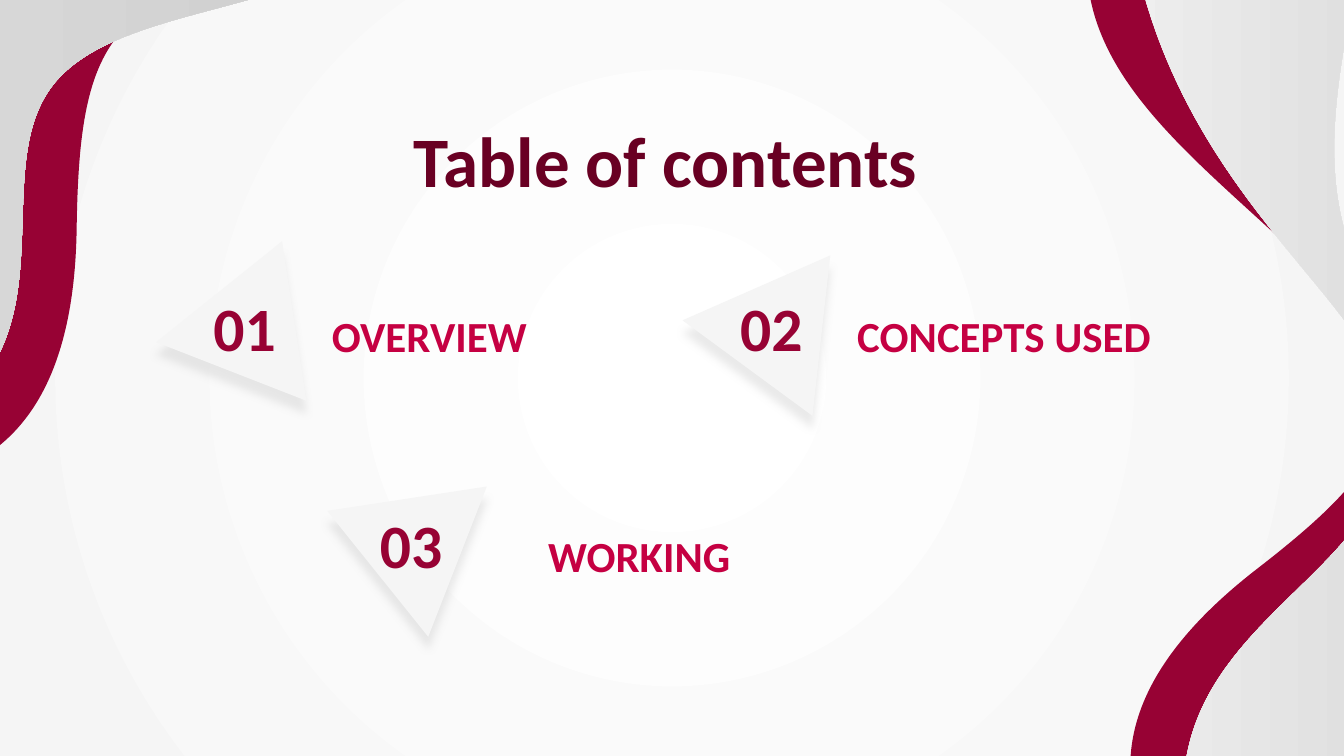
from dataclasses import dataclass
from math import cos, radians, sin

from lxml.etree import SubElement
from pptx import Presentation
from pptx.dml.color import RGBColor
from pptx.enum.shapes import MSO_SHAPE
from pptx.enum.text import MSO_ANCHOR, PP_ALIGN
from pptx.oxml.ns import qn
from pptx.util import Inches, Pt


@dataclass(frozen=True)
class Theme:
    font: str = "Calibri"
    title: str = "690023"
    number: str = "970234"
    topic: str = "C50042"
    ribbon: str = "970234"
    white: str = "FFFFFF"
    pale: str = "F5F5F5"
    grey: str = "C4C4C4"
    title_size: int = 38
    number_size: int = 33
    topic_size: int = 23


def write_text(frame, text, *, size, color, font, align=PP_ALIGN.LEFT,
               anchor=MSO_ANCHOR.TOP, top_inset=0.1, right_inset=0.1):
    frame.word_wrap = True
    frame.vertical_anchor = anchor
    frame.margin_left = frame.margin_bottom = Inches(0.1)
    frame.margin_top, frame.margin_right = Inches(top_inset), Inches(right_inset)
    paragraph = frame.paragraphs[0]
    paragraph.alignment = align
    run = paragraph.add_run()
    run.text = text
    run.font.name = font
    run.font.size = Pt(size)
    run.font.bold = True
    run.font.color.rgb = RGBColor.from_string(color)


class SlideBuilder:
    COLUMNS, ROWS = 100, 56.25

    def __init__(self, presentation, theme):
        self.theme = theme
        self.cell_width = presentation.slide_width / self.COLUMNS
        self.cell_height = presentation.slide_height / self.ROWS
        self.slide = presentation.slides.add_slide(presentation.slide_layouts[6])

    def place(self, column, row):
        return round(column * self.cell_width), round(row * self.cell_height)

    def box(self, column, row, width, height):
        return *self.place(column, row), *self.place(width, height)

    def gradient(self, fill, first, last):
        fill.gradient()
        fill.gradient_angle = 0
        for stop, color in zip(fill.gradient_stops, (first, last)):
            stop.color.rgb = RGBColor.from_string(color)

    def background(self):
        self.gradient(self.slide.background.fill, self.theme.white, self.theme.pale)
        gradient = self.slide.element.find(".//" + qn("a:gradFill"))
        gradient.remove(gradient.find(qn("a:lin")))
        circle = SubElement(gradient, qn("a:path"), path="circle")
        SubElement(circle, qn("a:fillToRect"), l="50000", t="50000", r="50000", b="50000")

    def wave(self, box, rotation, start, *segments, shaded=False):
        column, row, width, height = box
        cosine, sine = cos(radians(rotation)), sin(radians(rotation))

        def turn_back(x, y):
            x, y = x - column - width / 2, y - row - height / 2
            return self.place(cosine * x + sine * y + width / 2,
                              cosine * y - sine * x + height / 2)

        builder = self.slide.shapes.build_freeform(0, 0)
        builder.add_line_segments([self.place(width, height)], close=True)
        shape = builder.convert_to_shape()
        shape.left, shape.top, shape.width, shape.height = self.box(*box)
        shape.rotation = rotation
        outline = shape.element.find(".//" + qn("a:path"))
        for child in list(outline):
            outline.remove(child)
        for segment in (start, *segments):
            is_curve = len(segment) == 6
            tag = "a:moveTo" if segment is start else "a:cubicBezTo" if is_curve else "a:lnTo"
            command = SubElement(outline, qn(tag))
            for point in zip(segment[::2], segment[1::2]):
                x, y = turn_back(*point)
                SubElement(command, qn("a:pt"), x=str(x), y=str(y))
        SubElement(outline, qn("a:close"))
        shape.shadow.inherit = False
        shape.line.fill.background()
        if shaded:
            self.gradient(shape.fill, self.theme.pale, self.theme.grey)
            shape.element.spPr.find(qn("a:gradFill")).set("rotWithShape", "0")
        else:
            shape.fill.solid()
            shape.fill.fore_color.rgb = RGBColor.from_string(self.theme.ribbon)

    def triangle(self, column, row, rotation):
        shape = self.slide.shapes.add_shape(
            MSO_SHAPE.ISOSCELES_TRIANGLE, *self.box(column, row, 12, 10.4))
        shape.rotation = rotation
        shape.fill.solid()
        shape.fill.fore_color.rgb = RGBColor.from_string(self.theme.pale)
        shape.line.fill.background()
        shape.shadow.inherit = False
        effects = shape.element.spPr.find(qn("a:effectLst"))
        shadow = SubElement(effects, qn("a:outerShdw"), blurRad=str(Pt(4.5)),
                            dist=str(Pt(6.8)), dir="5400000", algn="bl", rotWithShape="0")
        color = SubElement(shadow, qn("a:srgbClr"), val=self.theme.grey)
        SubElement(color, qn("a:alpha"), val="34000")

    def text(self, text, column, row, width, height, **style):
        shape = self.slide.shapes.add_textbox(*self.box(column, row, width, height))
        write_text(shape.text_frame, text, font=self.theme.font, **style)

    def title(self, text):
        self.text(text, 7.9, 8.7, 84.3, 5.4, size=self.theme.title_size,
                  color=self.theme.title, align=PP_ALIGN.CENTER, top_inset=0, right_inset=0.2)

    def number(self, text, column, row):
        self.text(text, column, row, 8, 5.7, size=self.theme.number_size,
                  color=self.theme.number, align=PP_ALIGN.CENTER, anchor=MSO_ANCHOR.MIDDLE)

    def topic(self, text, column, row):
        self.text(text, column, row, 26.9, 4.9, size=self.theme.topic_size,
                  color=self.theme.topic)


def draw_waves(builder):
    left_turn, right_turn = 141.2, 93.3
    builder.wave((-25, 2.8, 56.3, 34.8), left_turn,
                 (21.5, -1.9), (8, -0.9, 5.9, 3.5, 5.7, 16.9),
                 (5.4, 40.7, -11.6, 36, -20.3, 35.9), (-3.2, 2.9),
                 (-3.2, 2.9, 10.4, -1.9, 21.5, -1.9))
    builder.wave((-63.5, -3.4, 108.2, 45.1), left_turn,
                 (33.3, -14.1), (32.8, 2.6, 9.9, -1.8, 3.8, 6.5),
                 (-2.3, 14.8, 10, 32.5, -18.3, 35), (-38.6, 36.9, -42.1, 35, -54.9, 48.9),
                 (-64.9, 36.4), (-49.6, 30.4, -36.5, 35.7, -29.8, 33.5),
                 (-14.4, 28.5, -29.2, 6.1, -5.5, 0.4), (15.3, -4.7, 29.2, 3.3, 28.2, -14.6),
                 shaded=True)
    builder.wave((64.8, 29.9, 55.3, 34.1), right_turn,
                 (99, 19.7), (106, 30.1, 104, 34.2, 93.7, 42.2),
                 (74.8, 56.7, 88.7, 67.5, 94, 74.8), (109.8, 40.8),
                 (109.8, 40.8, 105.4, 27.8, 99, 19.7))
    builder.wave((77, -0.1, 30.9, 24.9), right_turn,
                 (80.9, -3.4), (80.2, 9.6, 98.4, 16.8, 104, 28.4),
                 (104, 28.4, 93.4, 12.9, 92.6, -3.2))
    builder.wave((48.9, 31.1, 108.2, 45.1), right_turn,
                 (100.7, 107.7), (113.9, 97.6, 97.1, 81.5, 100.3, 71.7),
                 (103.5, 62, 125.1, 61.7, 110.8, 37.2), (100.5, 19.6, 96.9, 17.8, 100.8, -0.7),
                 (84.8, -1.6), (88.8, 14.4, 100.7, 21.9, 102.8, 28.7),
                 (107.7, 44.2, 80.9, 45.1, 89.9, 67.7), (97.8, 87.6, 112.5, 94.2, 97.3, 103.8),
                 shaded=True)


def main():
    presentation = Presentation()
    presentation.slide_width, presentation.slide_height = Inches(10), Inches(5.625)
    builder = SlideBuilder(presentation, Theme())
    builder.background()
    draw_waves(builder)
    for triangle in [(52.7, 18, 36.3), (23.2, 34.7, 291.3), (13.1, 17.6, 21.3)]:
        builder.triangle(*triangle)
    entries = [
        ("OVERVIEW", (23.7, 22), (14.2, 21.5)),
        ("CONCEPTS USED", (62.8, 22), (53.4, 21.5)),
        ("WORKING", (39.8, 38.4), (26.6, 37.6)),
    ]
    for index, (topic, topic_place, number_place) in enumerate(entries, 1):
        builder.topic(topic, *topic_place)
        builder.number(f"{index:02}", *number_place)
    builder.title("Table of contents")
    presentation.save("out.pptx")


if __name__ == "__main__":
    main()
